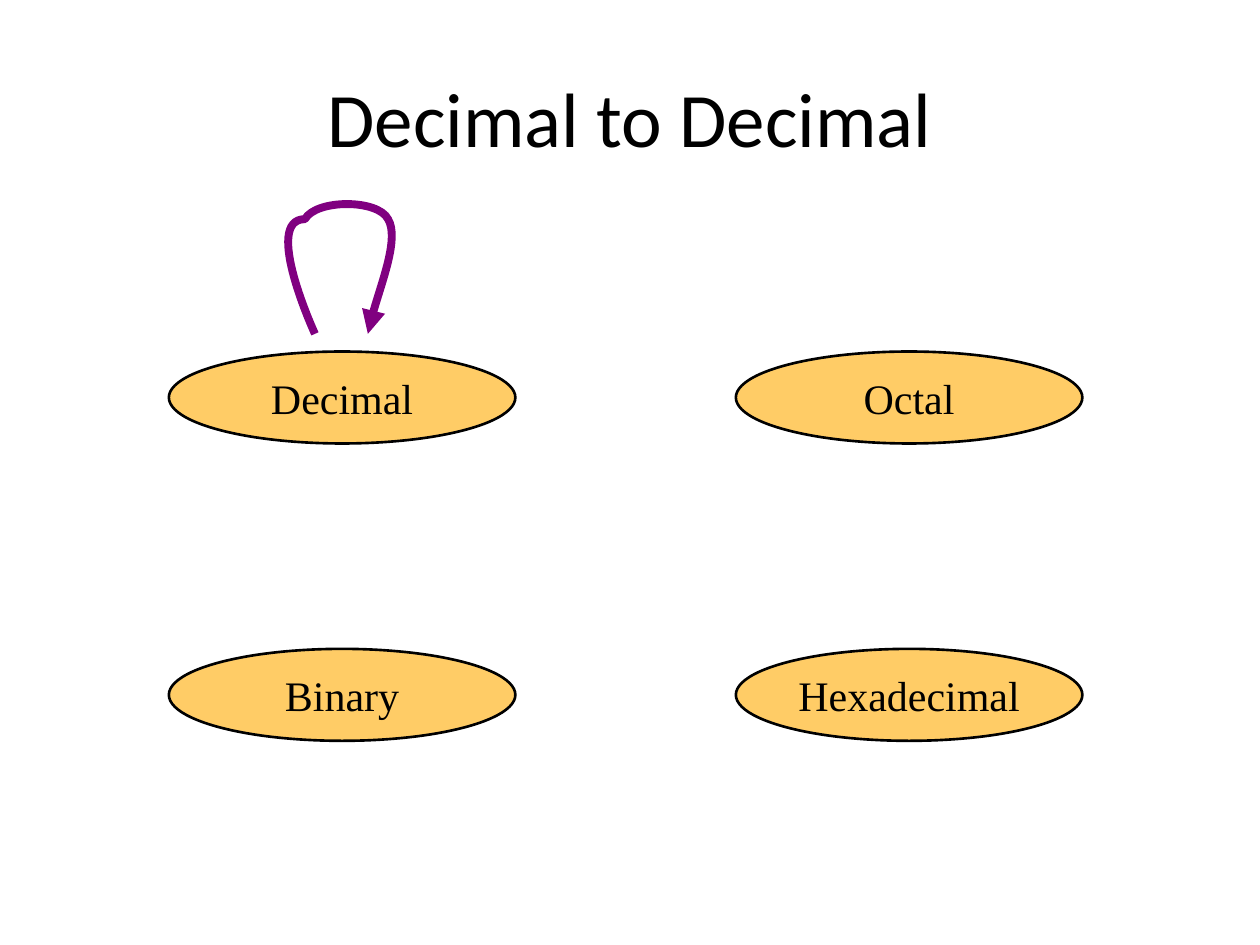
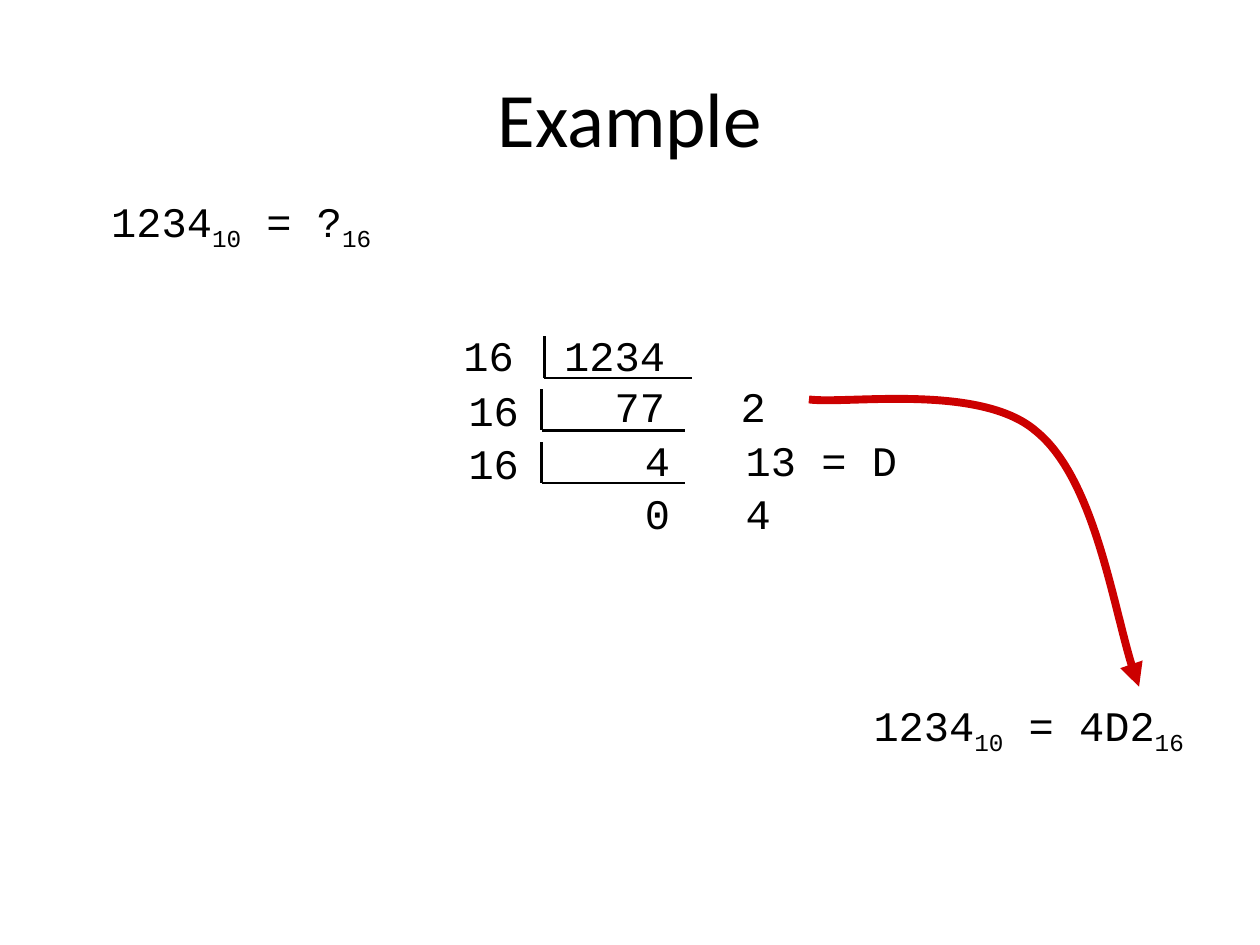
from dataclasses import dataclass

from lxml import etree
from pptx import Presentation
from pptx import util as u
from pptx.dml.color import RGBColor
from pptx.enum import shapes, text
from pptx.oxml.ns import qn


@dataclass(frozen=True)
class Theme:
    """Colours, fonts, type sizes and line widths shared by the slides."""
    ink: str = "000000"
    node: str = "FFCC66"
    loop: str = "800080"
    result: str = "CC0000"
    title_font: str = "Calibri"
    node_font: str = "Times New Roman"
    digit_font: str = "Courier New"
    title_size: float = 44
    body_size: float = 24
    thin: float = 1.5
    thick: float = 4.5


THEME = Theme()
UNIT = u.Inches(0.1)
COLUMNS, ROWS = 100, 75


@dataclass(frozen=True)
class Box:
    """A region measured in columns and rows of the slide grid."""
    col: float
    row: float
    cols: float
    rows: float

    def cell(self, col, row, cols, rows):
        """Return a region placed relative to this one."""
        return Box(self.col + col, self.row + row, cols, rows)

    def point(self, col, row):
        """Return a point of this region in slide lengths."""
        return round((self.col + col) * UNIT), round((self.row + row) * UNIT)

    def frame(self):
        """Return left, top, width and height in slide lengths."""
        return (*self.point(0, 0), round(self.cols * UNIT), round(self.rows * UNIT))


PAGE = Box(0, 0, COLUMNS, ROWS)


def style_text(para, font, size):
    """Format every run of a paragraph in the ink colour."""
    for span in para.runs:
        span.font.name = font
        span.font.size = u.Pt(size)
        span.font.color.rgb = RGBColor.from_string(THEME.ink)


def style_line(shape, color, width):
    """Give a shape or connector a plain coloured line."""
    shape.line.color.rgb = RGBColor.from_string(color)
    shape.line.width = u.Pt(width)


def add_page(deck, title):
    """Add a title-only slide with its title set."""
    page = deck.slides.add_slide(deck.slide_layouts[5])
    heading = page.shapes.title
    heading.left, heading.top, heading.width, heading.height = PAGE.cell(5, 3, 90, 12.5).frame()
    heading.text_frame.text = title
    heading.text_frame.vertical_anchor = text.MSO_ANCHOR.MIDDLE
    para = heading.text_frame.paragraphs[0]
    para.alignment = text.PP_ALIGN.CENTER
    style_text(para, THEME.title_font, THEME.title_size)
    return page


def add_text_box(page, box):
    """Add an empty wrapping text box and return its text frame."""
    frame = page.shapes.add_textbox(*box.frame()).text_frame
    frame.word_wrap = True
    return frame


def add_node(page, box, label):
    """Add an ellipse naming one number system."""
    node = page.shapes.add_shape(shapes.MSO_SHAPE.OVAL, *box.frame())
    node.shadow.inherit = False
    node.fill.solid()
    node.fill.fore_color.rgb = RGBColor.from_string(THEME.node)
    style_line(node, THEME.ink, THEME.thin)
    frame = node.text_frame
    frame.text = label
    frame.word_wrap = False
    frame.vertical_anchor = text.MSO_ANCHOR.MIDDLE
    frame.paragraphs[0].alignment = text.PP_ALIGN.CENTER
    style_text(frame.paragraphs[0], THEME.node_font, THEME.body_size)


def add_curved_arrow(page, box, points, color):
    """Add a Bezier arrow through a start and triples of control points."""
    start, *controls = [box.point(*point) for point in points]
    builder = page.shapes.build_freeform(*start, scale=1.0)
    builder.add_line_segments(controls, close=False)
    arrow = builder.convert_to_shape()
    arrow.shadow.inherit = False
    arrow.fill.background()
    style_line(arrow, color, THEME.thick)
    outline = next(arrow._element.iter(qn("a:pathLst")))[0]
    segments = outline.findall(qn("a:lnTo"))
    for first in range(0, len(segments), 3):
        curve = etree.SubElement(outline, qn("a:cubicBezTo"))
        for segment in segments[first:first + 3]:
            curve.append(segment[0])
            outline.remove(segment)
    etree.SubElement(arrow.line._get_or_add_ln(), qn("a:tailEnd"), type="triangle")


def add_number_systems(page, box):
    """Place the four number systems on a two by two grid."""
    labels = (("Decimal", "Octal"), ("Binary", "Hexadecimal"))
    for row, names in enumerate(labels):
        for col, name in enumerate(names):
            add_node(page, box.cell(45 * col, 23.6 * row, 27.5, 7.3), name)


def add_equation(page, box, value, result):
    """Write a decimal value and its base 16 counterpart."""
    para = add_text_box(page, box).paragraphs[0]
    para.alignment = text.PP_ALIGN.CENTER
    for words, lowered in ((value, False), ("10", True), (f" = {result}", False), ("16", True)):
        span = para.add_run()
        span.text = words
        if lowered:
            span._r.get_or_add_rPr().set("baseline", "-25000")
    style_text(para, THEME.digit_font, THEME.body_size)


def add_tab_stops(para):
    """Set a right stop for quotients and a left stop for remainders."""
    stops = etree.SubElement(para._p.get_or_add_pPr(), qn("a:tabLst"))
    for col, side in ((16, "r"), (22, "l")):
        etree.SubElement(stops, qn("a:tab"), pos=str(col * UNIT), algn=side)


def add_rule(page, start, end):
    """Draw a thin straight line."""
    rule = page.shapes.add_connector(shapes.MSO_CONNECTOR.STRAIGHT, *start, *end)
    style_line(rule, THEME.ink, THEME.thin)
    etree.SubElement(rule._element.spPr, qn("a:effectLst"))


def add_division_step(page, box, lines, bracket):
    """Write one division with its bracket."""
    frame = add_text_box(page, box)
    frame.text = "\n".join(lines)
    for para in frame.paragraphs:
        add_tab_stops(para)
        style_text(para, THEME.digit_font, THEME.body_size)
    left, top, right, bottom = bracket
    corner = box.point(left, bottom)
    add_rule(page, box.point(left, top), corner)
    add_rule(page, corner, box.point(right, bottom))


def add_long_division(page, box):
    """Stack the repeated divisions by 16."""
    wide, narrow = (7.4, 1, 19.1, 4.3), (6.8, 0.9, 18.2, 4.15)
    steps = (
        (0, 0, 27, ("16\t1234", "\t77\t2"), wide),
        (0.4, 4.3, 38.8, ("16", "\t4\t13 = D"), narrow),
        (0.4, 8.5, 38.8, ("16", "\t0\t4"), narrow),
    )
    for col, row, cols, lines, bracket in steps:
        add_division_step(page, box.cell(col, row, cols, 9), lines, bracket)


def build_systems_page(deck):
    """Build the slide that maps decimal onto itself."""
    page = add_page(deck, "Decimal to Decimal")
    add_number_systems(page, PAGE.cell(13.4, 27.9, 72.5, 30.9))
    loop = ((4.2, 10.7), (4.2, 10.7), (0, 1.6), (3.4, 1.6), (4.3, 0),
            (9.2, 0), (10, 1.6), (10.9, 3.1), (8.7, 8.8), (8.4, 10.7))
    add_curved_arrow(page, PAGE.cell(20.8, 15.8, 10.8, 10.7), loop, THEME.loop)


def build_example_page(deck):
    """Build the worked conversion from decimal to hexadecimal."""
    page = add_page(deck, "Example")
    add_equation(page, PAGE.cell(3.3, 15, 31.7, 5.6), "1234", "?")
    add_equation(page, PAGE.cell(65.8, 55, 31.7, 5.6), "1234", "4D2")
    sweep = ((0, 1.3), (3, 1.7), (13.6, 0), (18, 3.8), (22.6, 7.5), (24.5, 19.9), (26.2, 24.1))
    add_curved_arrow(page, PAGE.cell(64.2, 30.4, 26.2, 24.2), sweep, THEME.result)
    add_long_division(page, PAGE.cell(35.8, 25.7, 39.2, 17.5))


def main():
    """Build and save the deck."""
    deck = Presentation()
    deck.slide_width, deck.slide_height = COLUMNS * UNIT, ROWS * UNIT
    build_systems_page(deck)
    build_example_page(deck)
    deck.save("out.pptx")


if __name__ == "__main__":
    main()
